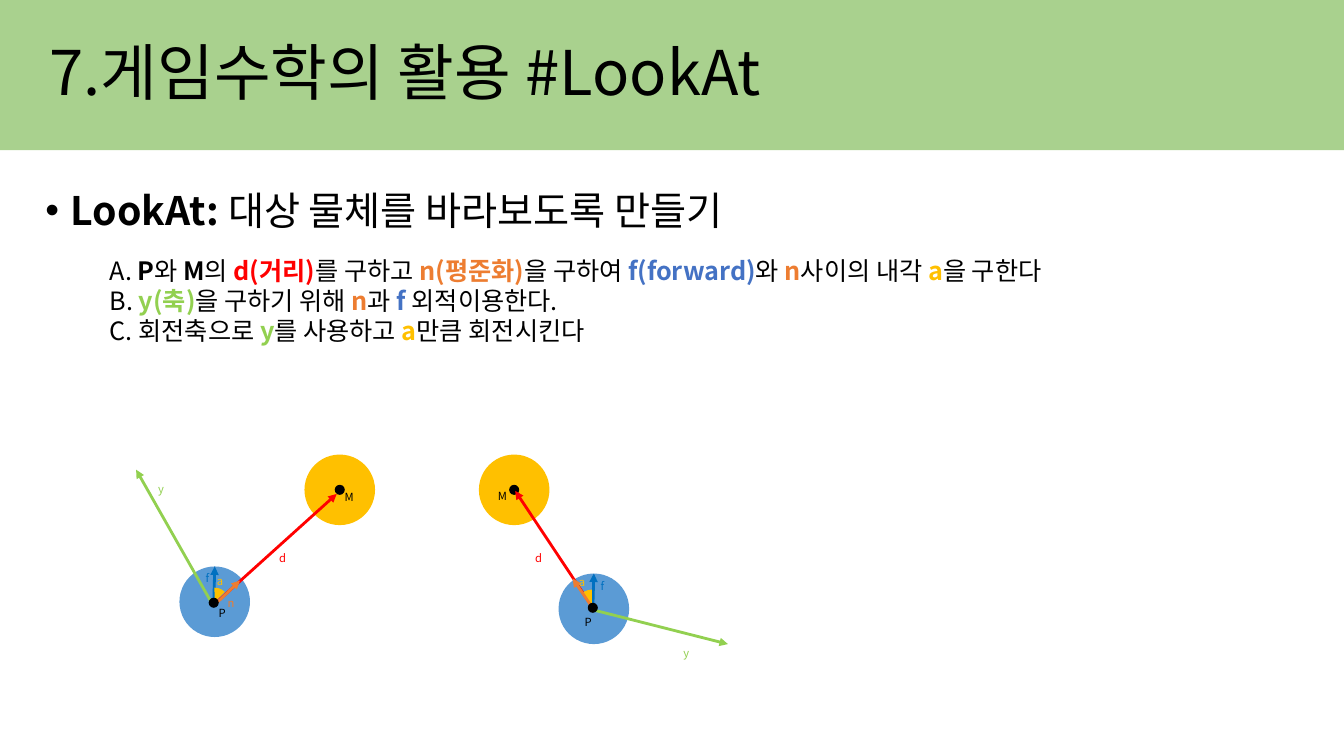
from pptx import Presentation
from pptx.dml.color import RGBColor
from pptx.enum.shapes import MSO_CONNECTOR, MSO_SHAPE
from pptx.enum.text import MSO_ANCHOR, MSO_AUTO_SIZE, PP_ALIGN
from pptx.oxml.ns import qn
from pptx.util import Inches, Pt
from lxml.etree import SubElement

FONT = "Noto Sans CJK KR"
BLACK = RGBColor(0x00, 0x00, 0x00)
RED = RGBColor(0xFF, 0x00, 0x00)
ORANGE = RGBColor(0xED, 0x7D, 0x31)
BLUE = RGBColor(0x44, 0x72, 0xC4)
ARROW_BLUE = RGBColor(0x00, 0x70, 0xC0)
DISC_BLUE = RGBColor(0x5B, 0x9B, 0xD5)
AMBER = RGBColor(0xFF, 0xC0, 0x00)
GREEN = RGBColor(0x92, 0xD0, 0x50)
BAND_GREEN = RGBColor(0xA9, 0xD1, 0x8E)

TITLE = "7.게임수학의 활용 #LookAt"
HEADING = [("LookAt: ", True), ("대상 물체를 바라보도록 만들기", False)]

# A step is a list of (text, colour); a colour of None means plain black text
STEPS = [
    [("A. ", None), ("P", BLACK), ("와 ", None), ("M", BLACK), ("의 ", None),
     ("d(거리)", RED), ("를 구하고 ", None), ("n(평준화)", ORANGE),
     ("을 구하여 ", None), ("f(forward)", BLUE), ("와 ", None), ("n", ORANGE),
     ("사이의 내각 ", None), ("a", AMBER), ("을 구한다", None)],
    [("B. ", None), ("y(축)", GREEN), ("을 구하기 위해 ", None), ("n", ORANGE),
     ("과 ", None), ("f ", BLUE), ("외적이용한다. ", None)],
    [("C. 회전축으로 ", None), ("y", GREEN), ("를 사용하고 ", None),
     ("a", AMBER), ("만큼 회전시킨다", None)],
]

LABEL_COLORS = {"M": BLACK, "P": BLACK, "d": RED, "n": ORANGE,
                "f": ARROW_BLUE, "y": GREEN, "a": AMBER}
DISC, DOT = 0.7, 0.1

# Centres are (x, y); arrows are (from, to, colour);
# the angle is (centre, diameter, start, end) in degrees; labels are (left, top, width)
FIGURES = [
    {"p_disc": (2.13, 5.97), "p_dot": (2.12, 5.98), "m": (3.37, 4.86),
     "arrows": [((2.11, 6), (1.35, 4.66), GREEN),
                ((2.12, 6), (2.13, 5.62), ARROW_BLUE),
                ((2.12, 6), (3.34, 4.9), RED),
                ((2.13, 6), (2.38, 5.76), ORANGE)],
     "angle": ((2.13, 5.97), 0.28, 268.53, 315.56),
     "labels": [("M", 3.32, 4.82, 0.4), ("d", 2.67, 5.42, 0.35),
                ("P", 2.07, 5.97, 0.26), ("n", 2.16, 5.87, 0.35),
                ("f", 1.94, 5.62, 0.23), ("y", 1.47, 4.74, 0.45),
                ("a", 2.14, 5.65, 0.11)]},
    {"p_disc": (5.89, 6.04), "p_dot": (5.88, 6.03), "m": (5.1, 4.86),
     "arrows": [((5.88, 6.05), (7.22, 6.39), GREEN),
                ((5.88, 6.03), (5.89, 5.69), ARROW_BLUE),
                ((5.88, 6.03), (5.11, 4.87), RED),
                ((5.87, 6.02), (5.68, 5.74), ORANGE)],
     "angle": ((5.87, 6.01), 0.32, 237.7, 270),
     "labels": [("M", 4.84, 4.81, 0.26), ("d", 5.21, 5.42, 0.26),
                ("P", 5.7, 6.06, 0.26), ("f", 5.86, 5.7, 0.23),
                ("y", 6.68, 6.36, 0.45), ("a", 5.73, 5.66, 0.11)]},
]


def place(sp, left, top, width, height):
    sp.left, sp.top = Inches(left), Inches(top)
    sp.width, sp.height = Inches(width), Inches(height)


def add_run(p, text, size, color=BLACK, bold=False):
    r = p.add_run()
    r.text = text
    r.font.size = Pt(size)
    r.font.bold = bold
    r.font.color.rgb = color
    r.font.name = FONT
    SubElement(r.font._element, qn("a:ea")).set("typeface", FONT)


def add_filled(slide, kind, box, color):
    sp = slide.shapes.add_shape(kind, *[Inches(v) for v in box])
    sp.shadow.inherit = False
    sp.fill.solid()
    sp.fill.fore_color.rgb = color
    sp.line.fill.background()
    return sp


def add_round(slide, center, size, color, kind=MSO_SHAPE.OVAL):
    x, y = center
    return add_filled(slide, kind, (x - size / 2, y - size / 2, size, size), color)


def add_arrow(slide, start, end, color):
    line = slide.shapes.add_connector(
        MSO_CONNECTOR.STRAIGHT, *[Inches(v) for v in start + end])
    line.line.color.rgb = color
    line.line.width = Pt(2)
    SubElement(line.line._get_or_add_ln(), qn("a:tailEnd")).set("type", "triangle")
    SubElement(line._element.spPr, qn("a:effectLst"))


def add_textbox(slide, left, top, width, height):
    tf = slide.shapes.add_textbox(*[Inches(v) for v in (left, top, width, height)]).text_frame
    tf.word_wrap = True
    return tf.paragraphs[0]


def draw_figure(slide, figure):
    add_round(slide, figure["p_disc"], DISC, DISC_BLUE)
    add_round(slide, figure["m"], DISC, AMBER)
    add_round(slide, figure["m"], DOT, BLACK)
    *long_arrows, unit_arrow = figure["arrows"]
    for arrow in long_arrows:
        add_arrow(slide, *arrow)
    center, size, start, end = figure["angle"]
    pie = add_round(slide, center, size, AMBER, MSO_SHAPE.PIE)
    # Adjustments count in 100000ths, angles in 60000ths of a degree
    pie.adjustments[0], pie.adjustments[1] = start * 0.6, end * 0.6
    add_arrow(slide, *unit_arrow)
    add_round(slide, figure["p_dot"], DOT, BLACK)
    for text, left, top, width in figure["labels"]:
        add_run(add_textbox(slide, left, top, width, 0.24), text, 8, LABEL_COLORS[text])


def main():
    prs = Presentation()
    prs.slide_width, prs.slide_height = Inches(13.33), Inches(7.5)
    slide = prs.slides.add_slide(prs.slide_layouts[1])
    title, body = slide.placeholders

    band = add_filled(slide, MSO_SHAPE.RECTANGLE, (0, -0.02, 13.33, 1.51), BAND_GREEN)
    title._element.addprevious(band._element)

    place(title, 0.35 + 0.04, 0.02, 11.5, 1.45)
    place(body, 0.35, 1.85, 12.62, 0.61)
    for sp, anchor in ((title, MSO_ANCHOR.MIDDLE), (body, MSO_ANCHOR.TOP)):
        tf = sp.text_frame
        tf.word_wrap = True
        tf.auto_size = MSO_AUTO_SIZE.NONE
        tf.vertical_anchor = anchor
        p = tf.paragraphs[0]
        p.alignment = PP_ALIGN.LEFT
        p.line_spacing = 0.9
        p.space_before = Pt(0)
    add_run(title.text_frame.paragraphs[0], TITLE, 44)

    p = body.text_frame.paragraphs[0]
    pPr = p._p.get_or_add_pPr()
    pPr.set("marL", str(Inches(0.25)))
    pPr.set("indent", str(-Inches(0.25)))
    SubElement(pPr, qn("a:buChar")).set("char", "•")
    for text, bold in HEADING:
        add_run(p, text, 28, bold=bold)

    p = add_textbox(slide, 0.99, 2.48, 11.8, 1.01)
    for i, step in enumerate(STEPS):
        if i:
            p.add_line_break()
        for text, color in step:
            add_run(p, text, 18, color or BLACK, color is not None)

    for figure in FIGURES:
        draw_figure(slide, figure)

    prs.save("out.pptx")


if __name__ == "__main__":
    main()
